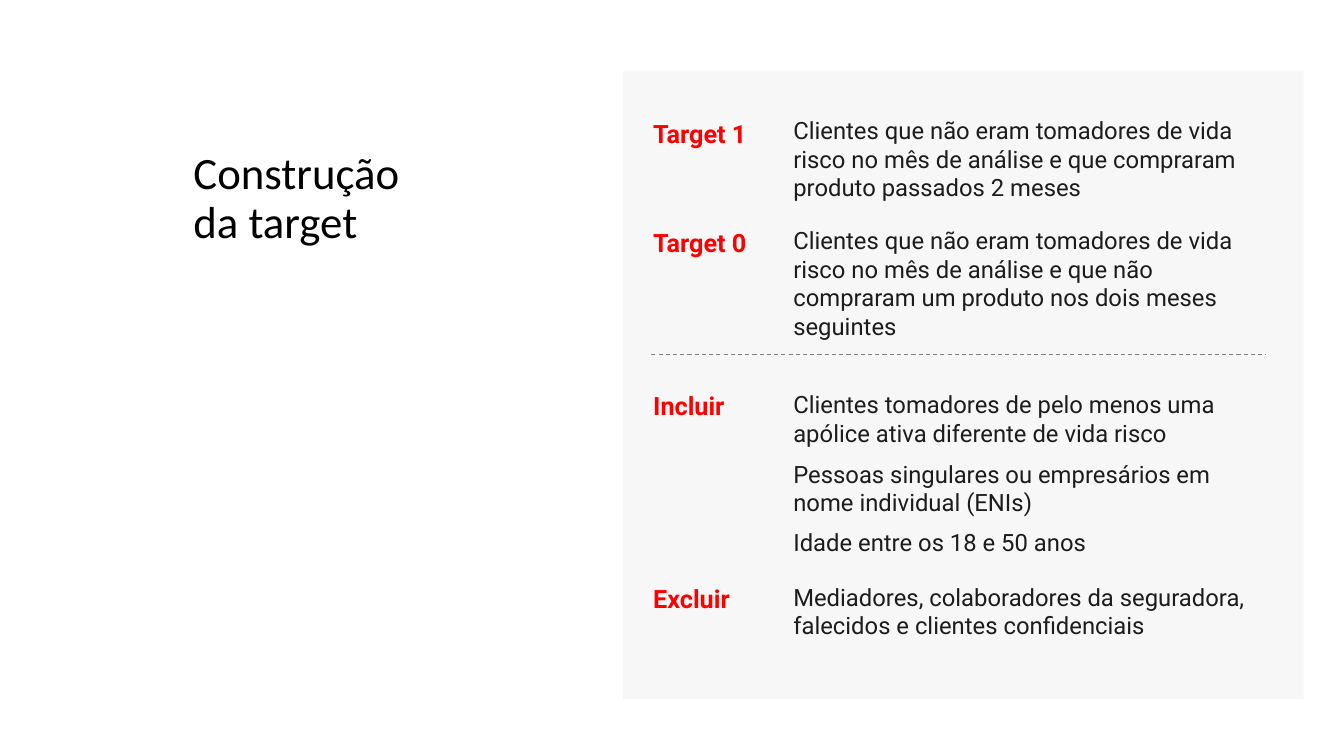
from lxml import etree
from pptx import Presentation
from pptx.dml.color import RGBColor
from pptx.enum.dml import MSO_LINE
from pptx.enum.shapes import MSO_CONNECTOR, MSO_SHAPE
from pptx.enum.text import MSO_ANCHOR, MSO_AUTO_SIZE
from pptx.oxml.ns import qn
from pptx.util import Inches, Pt

# Content: label, label top, [(description top, height, description)]
TITLE = ["Construção", "da target"]
CRITERIA = [
    ("Target 1", 1.12, [
        (1.10, 0.96, "Clientes que não eram tomadores de vida risco no mês de análise "
                     "e que compraram produto passados 2 meses")]),
    ("Target 0", 2.21, [
        (2.19, 0.96, "Clientes que não eram tomadores de vida risco no mês de análise "
                     "e que não compraram um produto nos dois meses seguintes")]),
    ("Incluir", 3.82, [
        (3.82, 0.67, "Clientes tomadores de pelo menos uma apólice ativa diferente de vida risco"),
        (4.51, 0.67, "Pessoas singulares ou empresários em nome individual (ENIs)"),
        (5.19, 0.39, "Idade entre os 18 e 50 anos")]),
    ("Excluir", 5.74, [
        (5.73, 0.67, "Mediadores, colaboradores da seguradora, falecidos e clientes confidenciais")]),
]

# Colours
BLACK = RGBColor(0x00, 0x00, 0x00)
INK = RGBColor(0x1C, 0x1C, 0x1C)
RED = RGBColor(0xFF, 0x00, 0x00)
GREY = RGBColor(0x80, 0x80, 0x80)
PANEL = RGBColor(0xF7, 0xF7, 0xF8)

# Columns: left, width
LABEL_COLUMN = (6.38, 1.49)
TEXT_COLUMN = (7.77, 4.94)
LABEL_HEIGHT = 0.4

deck = Presentation()
deck.slide_width, deck.slide_height = Inches(13.33), Inches(7.5)
page = deck.slides.add_slide(deck.slide_layouts[6])


def add_text(lines, left, top, width, height, *, size, color, font="Roboto",
             bold=False, spacing=None, grow=True):
    box = page.shapes.add_textbox(Inches(left), Inches(top), Inches(width), Inches(height))
    frame = box.text_frame
    frame.word_wrap = True
    frame.vertical_anchor = MSO_ANCHOR.TOP
    frame.auto_size = MSO_AUTO_SIZE.SHAPE_TO_FIT_TEXT if grow else MSO_AUTO_SIZE.NONE
    for index, line in enumerate(lines):
        para = frame.add_paragraph() if index else frame.paragraphs[0]
        if spacing:
            para.line_spacing = spacing
        span = para.add_run()
        span.text = line
        span.font.name, span.font.size, span.font.bold = font, Pt(size), bold
        span.font.color.rgb = color


# Title
add_text(TITLE, 1.82, 1.45, 3.46, 4.68, size=32, color=BLACK, font="Calibri",
         spacing=0.9, grow=False)

# Panel
panel = page.shapes.add_shape(MSO_SHAPE.RECTANGLE, Inches(6.18), Inches(0.7),
                              Inches(6.75), Inches(6.24))
panel.shadow.inherit = False
panel.fill.solid()
panel.fill.fore_color.rgb = PANEL
panel.line.fill.background()

# Dashed divider between the targets and the filters
divider = page.shapes.add_connector(MSO_CONNECTOR.STRAIGHT, Inches(6.46), Inches(3.52),
                                    Inches(12.56), Inches(3.52))
divider.line.color.rgb = GREY
divider.line.width = Pt(0.75)
divider.line.dash_style = MSO_LINE.DASH
etree.SubElement(divider._element.spPr, qn("a:effectLst"))

# Criteria: label on the left, descriptions on the right
for label, label_top, descriptions in CRITERIA:
    left, width = LABEL_COLUMN
    add_text([label], left, label_top, width, LABEL_HEIGHT, size=18, color=RED, bold=True)
    left, width = TEXT_COLUMN
    for top, height, description in descriptions:
        add_text([description], left, top, width, height, size=17, color=INK)

deck.save("out.pptx")
